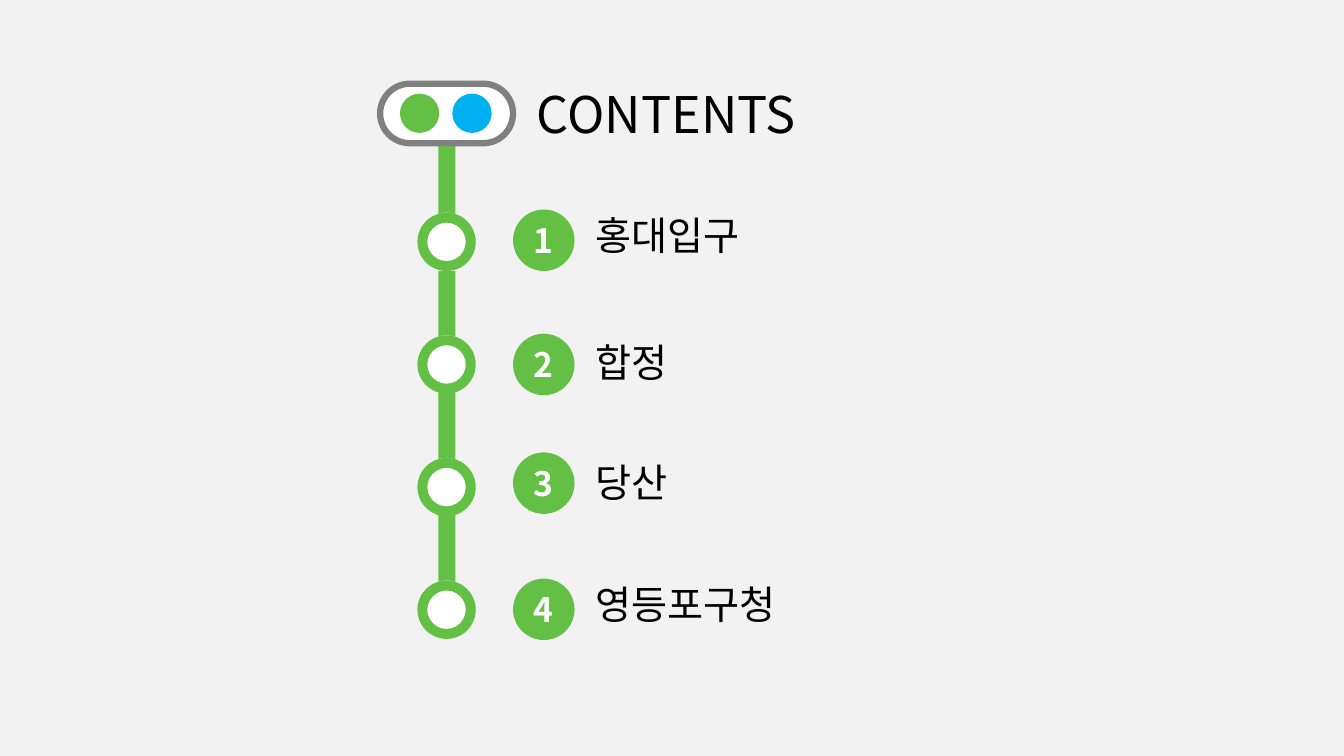
from dataclasses import dataclass

from lxml import etree
from pptx import Presentation
from pptx.dml.color import RGBColor
from pptx.enum import shapes, text
from pptx.oxml import ns
from pptx import util as u

FONT = "Noto Sans CJK KR"
COLORS = {
    "back": "F2F2F2",
    "line": "64C044",
    "sky": "00B0F0",
    "grey": "808080",
    "white": "FFFFFF",
    "black": "000000",
}
KIND = shapes.MSO_SHAPE
ALIGN = text.PP_ALIGN


@dataclass
class Box:
    left: float
    top: float
    width: float
    height: float

    def cm(self) -> list:
        return [u.Cm(v) for v in (self.left, self.top, self.width, self.height)]


@dataclass
class Stop:
    name: str
    badge: float  # top of the number badge
    label: float  # top of the station name


@dataclass
class Track:
    top: float
    height: float


STOPS = [
    Stop("홍대입구", 5.28, 5.21),
    Stop("합정", 8.41, 8.41),
    Stop("당산", 11.4, 11.43),
    Stop("영등포구청", 14.58, 14.5),
]
TRACKS = [Track(3.61, 2.39), Track(6.83, 2.46), Track(9.19, 2.62), Track(12.42, 2.51)]
FIRST, PITCH = 5.36, 3.09  # top of the first ring, step between rings


def color(key: str) -> RGBColor:
    return RGBColor.from_string(COLORS[key])


def draw(parent, kind, box: Box, fill: str):
    shape = parent.add_shape(kind, *box.cm())
    shape.shadow.inherit = False
    shape.fill.solid()
    shape.fill.fore_color.rgb = color(fill)
    shape.line.fill.background()
    return shape


def write(frame, words: str, size: int, ink: str, align, bold: bool = False) -> None:
    para = frame.paragraphs[0]
    para.text = words
    para.alignment = align
    font = para.font
    font.name, font.size, font.bold = FONT, u.Pt(size), bold
    font.color.rgb = color(ink)
    # Hangul takes its typeface from the East Asian slot
    props = para._p.get_or_add_pPr().get_or_add_defRPr()
    etree.SubElement(props, ns.qn("a:ea"), typeface=FONT)


def label(parent, box: Box, words: str, size: int, align=ALIGN.LEFT) -> None:
    frame = parent.add_textbox(*box.cm()).text_frame
    frame.word_wrap = True
    frame.auto_size = text.MSO_AUTO_SIZE.SHAPE_TO_FIT_TEXT
    write(frame, words, size, "black", align)


def badge(parent, top: float, number: int) -> None:
    frame = draw(parent, KIND.OVAL, Box(12.93, top, 1.55, 1.55), "line").text_frame
    frame.vertical_anchor = text.MSO_ANCHOR.MIDDLE
    write(frame, str(number), 24, "white", ALIGN.CENTER, True)


def ring(parent, top: float) -> None:
    group = parent.add_group_shape().shapes
    draw(group, KIND.OVAL, Box(10.59, top, 1.32, 1.32), "white")
    donut = draw(group, KIND.DONUT, Box(10.52, top, 1.47, 1.47), "line")
    donut.adjustments[0] = 0.17


def header(parent) -> None:
    pill = draw(parent, KIND.ROUNDED_RECTANGLE, Box(9.58, 2.11, 3.35, 1.5), "white")
    pill.adjustments[0] = 0.5
    pill.line.color.rgb = color("grey")
    pill.line.width = u.Pt(4.5)
    for left, fill in ((10.08, "line"), (11.4, "sky")):
        draw(parent, KIND.OVAL, Box(left, 2.36, 0.99, 0.99), fill)
    label(parent, Box(13.28, 1.96, 10.13, 1.8), "CONTENTS", 36, ALIGN.JUSTIFY)


def main() -> None:
    deck = Presentation()
    deck.slide_width, deck.slide_height = u.Cm(33.87), u.Cm(19.05)
    slide = deck.slides.add_slide(deck.slide_layouts[6])
    slide.background.fill.solid()
    slide.background.fill.fore_color.rgb = color("back")
    parts = slide.shapes

    # Metro line
    for track in TRACKS:
        draw(parts, KIND.RECTANGLE, Box(11.05, track.top, 0.43, track.height), "line")

    # Stations
    for i, stop in enumerate(STOPS):
        ring(parts, FIRST + i * PITCH)
        badge(parts, stop.badge, i + 1)
        label(parts, Box(14.76, stop.label, 7.06, 1.45), stop.name, 28)

    # Heading with the transfer sign
    header(parts)
    deck.save("out.pptx")


if __name__ == "__main__":
    main()
